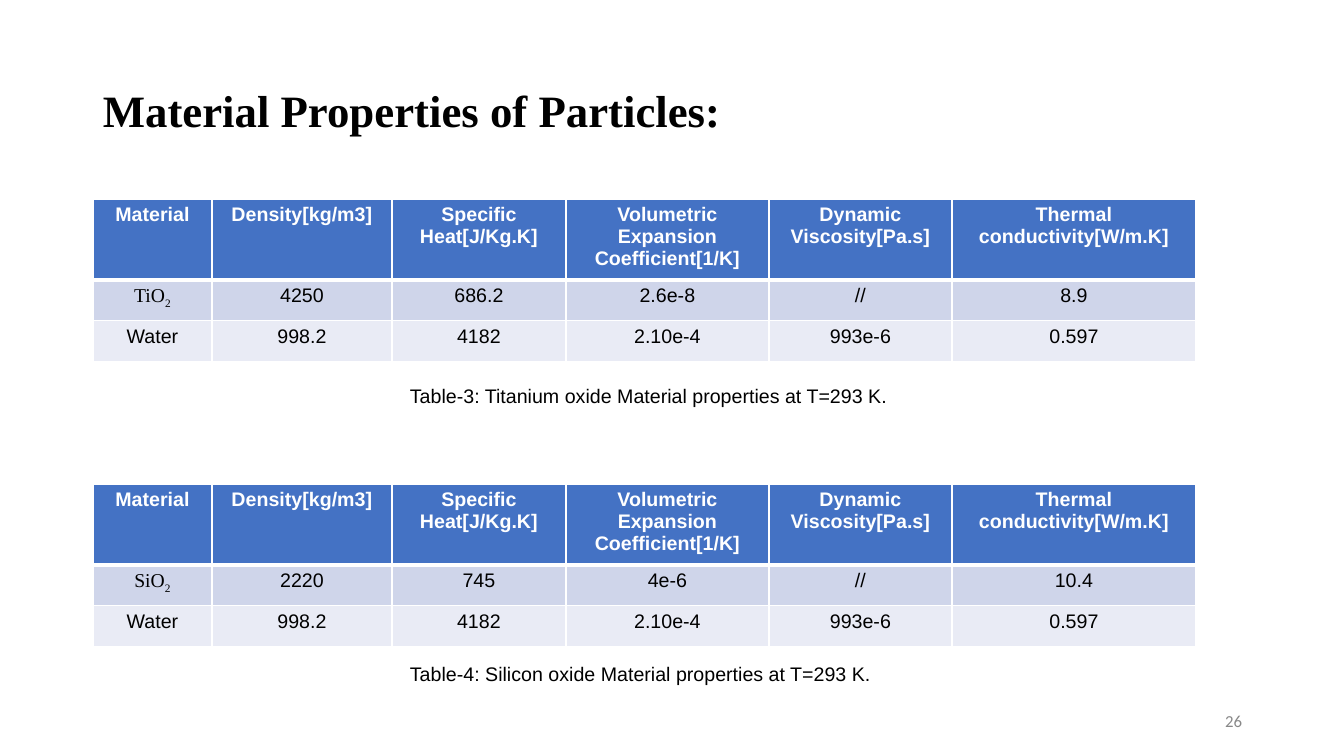
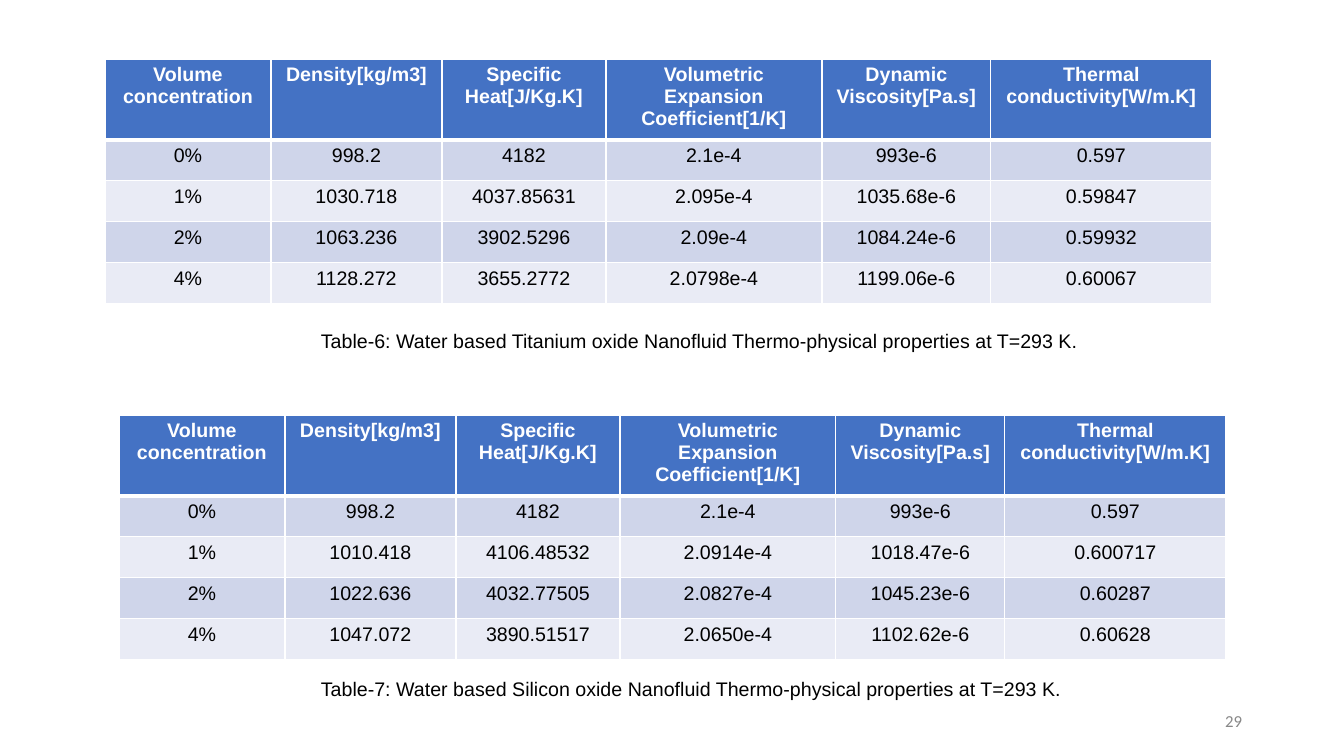
import pptx
import pptx.dml.color
import pptx.enum.text
import pptx.oxml
import pptx.oxml.ns
import pptx.util

PX = 12192000 // 1344
WHITE, BLACK, GREY = "FFFFFF", "000000", "888888"
HEADER, BANDS = "4472C4", ("CFD5EA", "E9EBF5")
SANS, SERIF, NUMBER_FONT = "Arial", "Times New Roman", "Calibri"
ALIGN = pptx.enum.text.PP_ALIGN
ANCHOR = pptx.enum.text.MSO_ANCHOR

PROPERTIES = ["Density[kg/m3]", "Specific Heat[J/Kg.K]",
              "Volumetric Expansion Coefficient[1/K]",
              "Dynamic Viscosity[Pa.s]", "Thermal conductivity[W/m.K]"]
WATER = ["998.2", "4182", "2.10e-4", "993e-6", "0.597"]
BASE_FLUID = ["0%", "998.2", "4182", "2.1e-4", "993e-6", "0.597"]
ROW_HEIGHT = 41

# An underscore marks the start of a subscript.
slides = [
    {
        "title": "Material Properties of Particles:",
        "number": "26",
        "first_column": "Material",
        "widths": [119, 180, 174, 203, 183, 244],
        "caption_box": (400, 544),
        "tables": [
            {"at": (93, 199), "header": 76, "caption_top": 379,
             "caption": "Table-3: Titanium oxide Material properties at T=293 K.",
             "rows": [["TiO_2", "4250", "686.2", "2.6e-8", "//", "8.9"],
                      ["Water"] + WATER]},
            {"at": (93, 484), "header": 80, "caption_top": 657,
             "caption": "Table-4: Silicon oxide Material properties at T=293 K.",
             "rows": [["SiO_2", "2220", "745", "4e-6", "//", "10.4"],
                      ["Water"] + WATER]},
        ],
    },
    {
        "title": None,
        "number": "29",
        "first_column": "Volume concentration",
        "widths": [166, 171, 164, 216, 169, 221],
        "caption_box": (311, 829),
        "tables": [
            {"at": (105, 59), "header": 76, "caption_top": 324,
             "caption": "Table-6: Water based Titanium oxide Nanofluid Thermo-physical properties at T=293 K.",
             "rows": [BASE_FLUID,
                      ["1%", "1030.718", "4037.85631", "2.095e-4", "1035.68e-6", "0.59847"],
                      ["2%", "1063.236", "3902.5296", "2.09e-4", "1084.24e-6", "0.59932"],
                      ["4%", "1128.272", "3655.2772", "2.0798e-4", "1199.06e-6", "0.60067"]]},
            {"at": (119, 415), "header": 80, "caption_top": 672,
             "caption": "Table-7: Water based Silicon oxide Nanofluid Thermo-physical properties at T=293 K.",
             "rows": [BASE_FLUID,
                      ["1%", "1010.418", "4106.48532", "2.0914e-4", "1018.47e-6", "0.600717"],
                      ["2%", "1022.636", "4032.77505", "2.0827e-4", "1045.23e-6", "0.60287"],
                      ["4%", "1047.072", "3890.51517", "2.0650e-4", "1102.62e-6", "0.60628"]]},
        ],
    },
]


def rgb(value):
    return pptx.dml.color.RGBColor.from_string(value)


def write(tf, text, size, font, color, bold=False, align=ALIGN.LEFT):
    """Fill the first paragraph; text after an underscore becomes a subscript."""
    p = tf.paragraphs[0]
    p.alignment = align
    p.font.size = pptx.util.Pt(size)
    p.font.name = font
    p.font.bold = bold
    p.font.color.rgb = rgb(color)
    base, _, subscript = text.partition("_")
    p.add_run().text = base
    if subscript:
        r = p.add_run()
        r.text = subscript
        r._r.get_or_add_rPr().set("baseline", "-25000")
    tf.word_wrap = True
    return p


prs = pptx.Presentation()
prs.slide_width, prs.slide_height = 1344 * PX, 756 * PX

for content in slides:
    s = prs.slides.add_slide(prs.slide_layouts[6])

    if content["title"]:
        tf = s.shapes.add_textbox(93 * PX, 40 * PX, 1159 * PX, 146 * PX).text_frame
        tf.vertical_anchor = ANCHOR.MIDDLE
        p = write(tf, content["title"], 32, SERIF, BLACK, bold=True)
        p.line_spacing = 0.9

    tf = s.shapes.add_textbox(950 * PX, 701 * PX, 302 * PX, 40 * PX).text_frame
    tf.vertical_anchor = ANCHOR.MIDDLE
    write(tf, content["number"], 12, NUMBER_FONT, GREY, align=ALIGN.RIGHT)

    widths = content["widths"]
    for item in content["tables"]:
        rows = [[content["first_column"]] + PROPERTIES] + item["rows"]
        heights = [item["header"]] + [ROW_HEIGHT] * len(item["rows"])
        left, top = item["at"]
        table = s.shapes.add_table(len(rows), len(widths), left * PX, top * PX,
                                   sum(widths) * PX, sum(heights) * PX).table
        for column, width in zip(table.columns, widths):
            column.width = width * PX

        for i, texts in enumerate(rows):
            table.rows[i].height = heights[i] * PX
            is_header = i == 0
            for j, text in enumerate(texts):
                cell = table.cell(i, j)
                tcPr = cell._tc.get_or_add_tcPr()
                for side in "LRTB":
                    thick = (i, side) in ((0, "B"), (1, "T"))
                    tcPr.append(pptx.oxml.parse_xml(
                        f'<a:ln{side} {pptx.oxml.ns.nsdecls("a")} w="{38100 if thick else 12700}">'
                        f'<a:solidFill><a:srgbClr val="{WHITE}"/></a:solidFill></a:ln{side}>'))
                cell.fill.solid()
                cell.fill.fore_color.rgb = rgb(HEADER if is_header else BANDS[(i - 1) % 2])
                write(cell.text_frame, text, 14, SERIF if "_" in text else SANS,
                      WHITE if is_header else BLACK, bold=is_header, align=ALIGN.CENTER)

        caption_left, caption_width = content["caption_box"]
        box = s.shapes.add_textbox(caption_left * PX, item["caption_top"] * PX,
                                   caption_width * PX, 34 * PX)
        write(box.text_frame, item["caption"], 14, SANS, BLACK)

prs.save("out.pptx")
